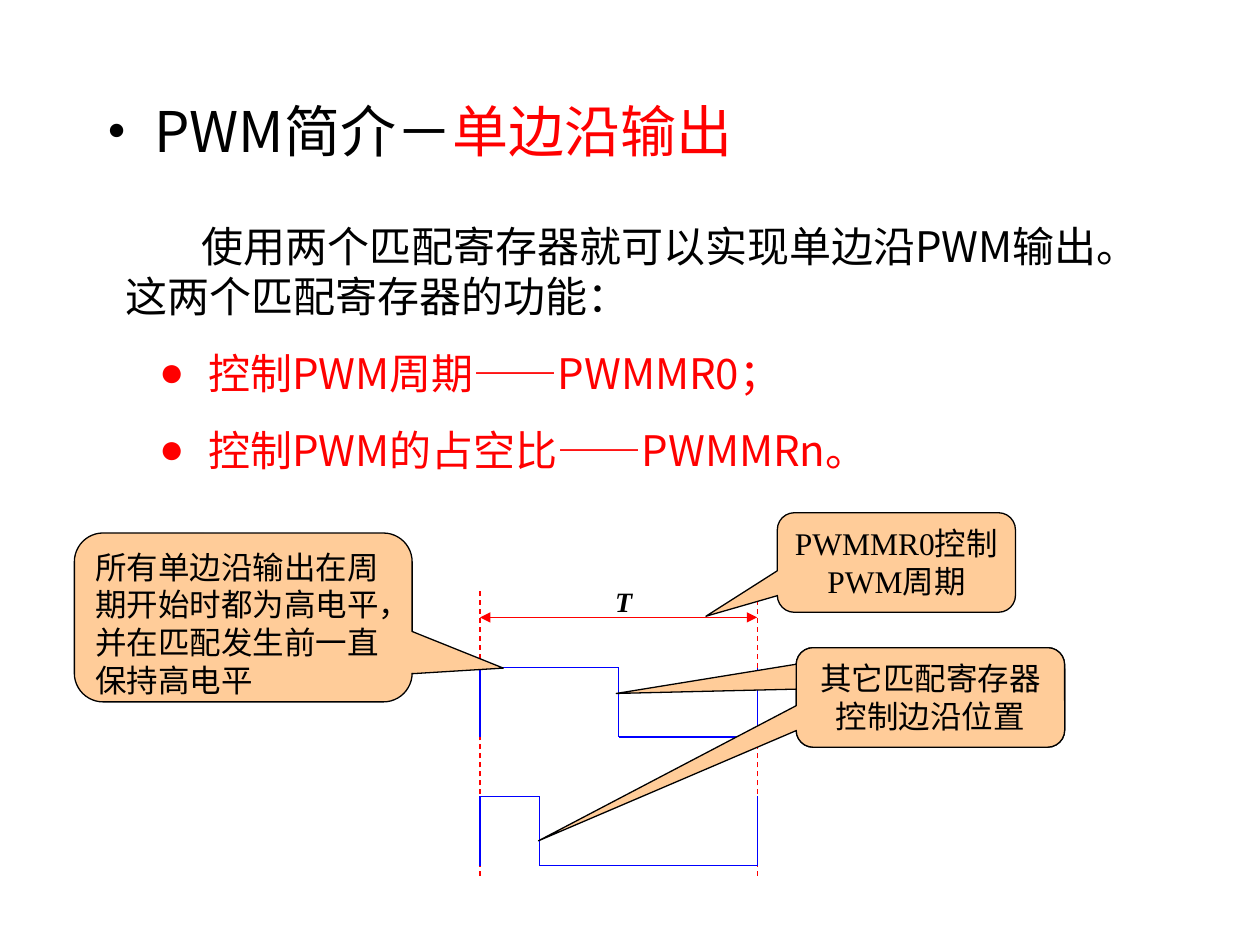
from dataclasses import dataclass
from itertools import pairwise

from lxml import etree
from pptx import Presentation
from pptx.dml.color import RGBColor
from pptx.enum import dml, shapes, text
from pptx.oxml import ns
from pptx.util import Pt


@dataclass(frozen=True)
class Theme:
    """Colours, fonts and type sizes of the slide."""
    ink: str = "000000"
    accent: str = "FF0000"
    wave: str = "0000FF"
    callout: str = "FFCC99"
    title_font: str = "Noto Sans CJK SC"
    body_font: str = "Noto Sans CJK JP"
    serif: str = "Times New Roman"
    title_size: int = 32
    body_size: int = 24
    callout_size: int = 18
    label_size: int = 16
    line: float = 0.75


THEME = Theme()


def add_element(parent, tag, **attributes):
    """Append a drawing element to parent."""
    return etree.SubElement(parent, ns.qn(tag), attributes)


def add_paragraph(frame, runs, *, size, font, east_asian=THEME.title_font, align=text.PP_ALIGN.LEFT,
                  before=0, line=None, left=0, first=0, bullet=None, bullet_color=THEME.ink,
                  bold=False, italic=False):
    """Write one formatted paragraph of (wording, colour) runs into a frame."""
    paragraph = frame.paragraphs[0]
    if paragraph.runs:
        paragraph = frame.add_paragraph()
    paragraph.alignment = align
    paragraph.space_before = Pt(before)
    if line:
        paragraph.line_spacing = Pt(line)
    properties = paragraph._p.get_or_add_pPr()
    properties.set("marL", str(Pt(left)))
    properties.set("indent", str(Pt(first)))
    if bullet:
        add_element(add_element(properties, "a:buClr"), "a:srgbClr", val=bullet_color)
        add_element(properties, "a:buFont", typeface=THEME.serif)
        add_element(properties, "a:buChar", char=bullet)
    for wording, color in runs:
        run = paragraph.add_run()
        run.text = wording
        run.font.size, run.font.name = Pt(size), font
        run.font.bold, run.font.italic = bold, italic
        run.font.color.rgb = RGBColor.from_string(color)
        add_element(run._r.get_or_add_rPr(), "a:ea", typeface=east_asian)


def add_text_frame(slide, left, top, width, height):
    """Add a wrapping text box and return its frame."""
    frame = slide.shapes.add_textbox(Pt(left), Pt(top), Pt(width), Pt(height)).text_frame
    frame.word_wrap = True
    return frame


def add_line(slide, start, end, color, dashed=False, arrows=False):
    """Draw a straight line between two points."""
    connector = slide.shapes.add_connector(
        shapes.MSO_CONNECTOR.STRAIGHT, *(Pt(value) for value in (*start, *end)))
    connector.line.width = Pt(THEME.line)
    connector.line.color.rgb = RGBColor.from_string(color)
    if dashed:
        connector.line.dash_style = dml.MSO_LINE.DASH
    if arrows:
        for tag in ("a:headEnd", "a:tailEnd"):
            add_element(connector.line._get_or_add_ln(), tag, type="triangle")
    add_element(connector._element.spPr, "a:effectLst")


def add_wave(slide, start, edge, end, high, low):
    """Draw one period of a single-edge PWM output."""
    corners = [(start, low), (start, high), (edge, high), (edge, low), (end, low), (end, high)]
    for corner, following in pairwise(corners):
        add_line(slide, corner, following, THEME.wave)


def add_callout(slide, box, pointer, wording="", align=text.PP_ALIGN.CENTER):
    """Add a rounded callout whose tip lies at the pointer offsets."""
    callout = slide.shapes.add_shape(
        shapes.MSO_SHAPE.ROUNDED_RECTANGULAR_CALLOUT, *(Pt(value) for value in box))
    callout.shadow.inherit = False
    for index, value in enumerate((*pointer, 0.17)):
        callout.adjustments[index] = value
    callout.fill.solid()
    callout.fill.fore_color.rgb = RGBColor.from_string(THEME.callout)
    callout.line.color.rgb = RGBColor.from_string(THEME.ink)
    callout.line.width = Pt(THEME.line)
    if wording:
        frame = callout.text_frame
        frame.word_wrap = True
        frame.vertical_anchor = text.MSO_ANCHOR.TOP
        add_paragraph(frame, [(wording, THEME.ink)], size=THEME.callout_size,
                      font=THEME.serif, align=align)


def add_introduction(slide):
    """Write the title and the roles of the two match registers."""
    title = add_text_frame(slide, 54, 51.8, 589.7, 48.2)
    add_paragraph(title, [("PWM简介－", THEME.ink), ("单边沿输出", THEME.accent)],
                  size=THEME.title_size, font=THEME.title_font, left=27, first=-27, bullet="•")
    body = add_text_frame(slide, 64.8, 122.4, 586, 152.6)
    style = dict(size=THEME.body_size, font=THEME.body_font, east_asian=THEME.body_font)
    add_paragraph(body, [("使用两个匹配寄存器就可以实现单边沿PWM输出。这两个匹配寄存器的功能：", THEME.ink)],
                  first=43, **style)
    for role in ("控制PWM周期——PWMMR0；", "控制PWM的占空比——PWMMRn。"):
        add_paragraph(body, [(role, THEME.accent)], before=15, left=47, first=-28,
                      bullet="●", bullet_color=THEME.accent, **style)


def add_timing_diagram(slide):
    """Draw the period limits, the period arrow and both outputs."""
    start, end = 274.3, 432.7
    for limit in (start, end):
        add_line(slide, (limit, 500.4), (limit, 336.2), THEME.accent, dashed=True)
    add_line(slide, (start, 352.8), (end, 352.8), THEME.accent, arrows=True)
    period = add_text_frame(slide, 313.9, 330.5, 85, 26.6)
    add_paragraph(period, [("T", THEME.ink)], size=THEME.label_size, font=THEME.serif,
                  align=text.PP_ALIGN.CENTER, bold=True, italic=True)
    for edge, high in ((308.2, 455), (353.5, 381.6)):
        add_wave(slide, start, edge, end, high, high + 39.6)


def main():
    """Build and save the slide."""
    presentation = Presentation()
    presentation.slide_width, presentation.slide_height = Pt(720), Pt(540)
    slide = presentation.slides.add_slide(presentation.slide_layouts[6])
    add_introduction(slide)
    add_timing_diagram(slide)
    add_callout(slide, (444.2, 293, 136.1, 56.9), (-0.8, 0.54), "PWMMR0控制PWM周期")
    edge_box = (455, 370.1, 153.4, 56.9)
    add_callout(slide, edge_box, (-1.17, -0.04))
    add_callout(slide, edge_box, (-1.46, 1.44), "其它匹配寄存器控制边沿位置")
    add_callout(slide, (42.5, 304.6, 193, 96.5), (0.77, 0.3),
                "所有单边沿输出在周期开始时都为高电平，并在匹配发生前一直保持高电平",
                align=text.PP_ALIGN.LEFT)
    presentation.save("out.pptx")


if __name__ == "__main__":
    main()
